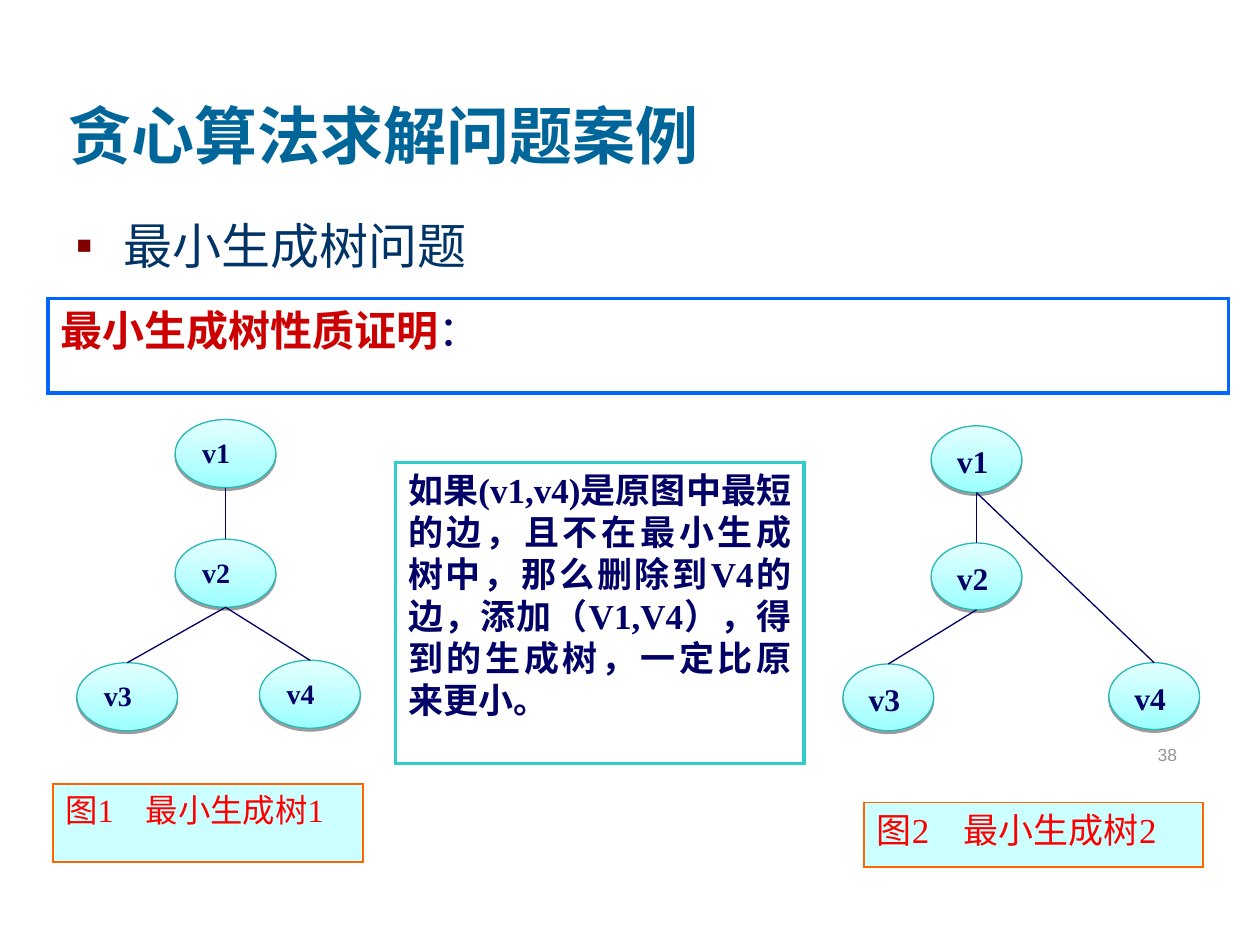
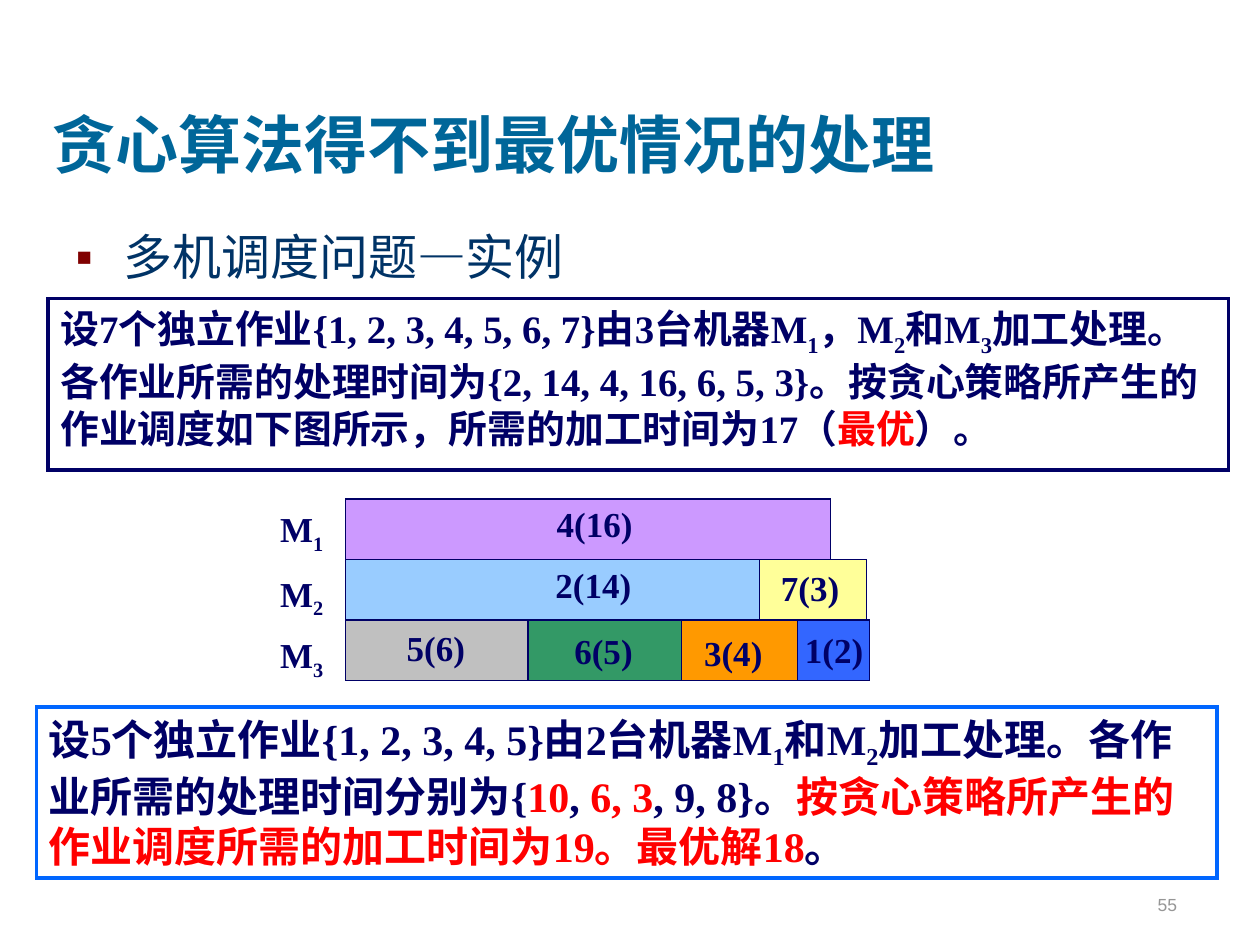
"""Build two slides on greedy algorithms: spanning trees and machine scheduling."""
import pptx
import pptx.util
import pptx.dml.color
import pptx.enum.shapes
import pptx.enum.text
import pptx.oxml
import pptx.oxml.ns
import lxml.etree

Inches, Pt = pptx.util.Inches, pptx.util.Pt
SHAPE = pptx.enum.shapes.MSO_SHAPE
ANCHOR = pptx.enum.text.MSO_ANCHOR
ALIGN = pptx.enum.text.PP_ALIGN
qn = pptx.oxml.ns.qn

COLORS = {
    "title": "006699", "body": "003366", "bullet": "800000", "number": "969696",
    "navy": "000066", "blue": "0066FF", "white": "FFFFFF", "red": "FF0000",
    "crimson": "CC0000", "teal": "33CCCC", "caption": "CCFFFF", "orange": "FF6600",
    "node_low": "9CFFFF", "node_high": "E4FFFF", "node_line": "28B8B8",
    "purple": "CC99FF", "sky": "99CCFF", "yellow": "FFFF99", "grey": "C0C0C0",
    "green": "339966", "amber": "FF9900", "royal": "3366FF",
}
SERIF = "Times New Roman"

SUB = {"sub": True}
RED = {"color": "red"}

TREE_EDGES = [("v1", "v2"), ("v2", "v3"), ("v2", "v4")]
TREES = [
    {"size": (0.8, 0.54), "pt": 16, "edges": TREE_EDGES,
     "nodes": {"v1": (1.39, 3.33), "v2": (1.39, 4.28), "v3": (0.61, 5.26), "v4": (2.06, 5.24)}},
    {"size": (0.72, 0.53), "pt": 18, "edges": TREE_EDGES[:2] + [("v1", "v4")],
     "nodes": {"v1": (7.39, 3.38), "v2": (7.39, 4.31), "v3": (6.69, 5.27), "v4": (8.8, 5.26)}},
]
CAPTIONS = [
    ("图1\t最小生成树1", (0.42, 6.22, 2.46, 0.62), 18.5, 0.64),
    ("图2\t最小生成树2", (6.86, 6.37, 2.69, 0.51), 20, 0.69),
]
PROOF = [("最小生成树性质证明", {"color": "crimson"}), ("：", {"bold": False})]
EXCHANGE = [("如果(v1,v4)是原图中最短的边，且不在最小生成树中，那么删除到V4的边，"
             "添加（V1,V4），得到的生成树，一定比原来更小。", {})]

SEVEN_JOBS = [
    ("设7个独立作业{1, 2, 3, 4, 5, 6, 7}由3台机器M", {}), ("1", SUB), ("，M", {}), ("2", SUB),
    ("和M", {}), ("3", SUB),
    ("加工处理。各作业所需的处理时间为{2, 14, 4, 16, 6, 5, 3}。"
     "按贪心策略所产生的作业调度如下图所示，所需的加工时间为17（", {}),
    ("最优", RED), ("）。", {}),
]
FIVE_JOBS = [
    ("设5个独立作业{1, 2, 3, 4, 5}由2台机器M", {}), ("1", SUB), ("和M", {}), ("2", SUB),
    ("加工处理。各作业所需的处理时间分别为{", {}), ("10", RED), (", ", {}), ("6, 3", RED),
    (", 9, 8}。", {}), ("按贪心策略所产生的作业调度所需的加工时间为19。最优解18", RED), ("。", {}),
]
CHART_LEFT, CHART_TOP, BAR_H, LABEL_H = 2.74, 3.96, 0.48, 0.33
# job, fill, bar width, label centre, label offset below the bar top
MACHINES = [
    ("1", 4.03, [("4(16)", "purple", 3.85, 4.72, 0.03)]),
    ("2", 4.54, [("2(14)", "sky", 3.29, 4.71, 0.03), ("7(3)", "yellow", 0.85, 6.43, 0.06)]),
    ("3", 5.03, [("5(6)", "grey", 1.45, 3.46, 0.05), ("6(5)", "green", 1.22, 4.79, 0.08),
                 ("3(4)", "amber", 0.92, 5.82, 0.09), ("1(2)", "royal", 0.57, 6.62, 0.07)]),
]


def rgb(name):
    return pptx.dml.color.RGBColor.from_string(COLORS[name])


def inches(values):
    return [Inches(v) for v in values]


def style(r, pt, color, bold=False, font=SERIF):
    r.font.size, r.font.bold, r.font.name = Pt(pt), bold, font
    r.font.color.rgb = rgb(color)


def write(sp, runs, pt, color="navy", bold=True, align=ALIGN.LEFT, inset=True):
    tf = sp.text_frame
    tf.word_wrap, tf.vertical_anchor = True, ANCHOR.TOP
    if not inset:
        tf.margin_left = tf.margin_right = tf.margin_top = tf.margin_bottom = 0
    p = tf.paragraphs[0]
    p.alignment = align
    p._p.get_or_add_pPr().set("hangingPunct", "0")
    for text, look in runs:
        r = p.add_run()
        r.text = text
        style(r, pt, look.get("color", color), look.get("bold", bold))
        if look.get("sub"):
            r.font._element.set("baseline", "-25000")
    return p


def add_filled(s, kind, box, line, width, fill=None):
    sp = s.shapes.add_shape(kind, *inches(box))
    sp.shadow.inherit = False
    if fill:
        sp.fill.solid()
        sp.fill.fore_color.rgb = rgb(fill)
    sp.line.color.rgb, sp.line.width = rgb(line), Pt(width)
    lxml.etree.SubElement(sp.element.spPr.find(qn("a:ln")), qn("a:miter"), lim="800000")
    return sp


def add_panel(s, box, line, runs, pt, align=ALIGN.LEFT):
    write(add_filled(s, SHAPE.RECTANGLE, box, line, 2, "white"), runs, pt, align=align)


def add_label(s, box, runs):
    write(s.shapes.add_textbox(*inches(box)), runs, 20, align=ALIGN.CENTER, inset=False)


def place(sp, box, text, anchor):
    sp.left, sp.top, sp.width, sp.height = inches(box)
    tf = sp.text_frame
    tf.text = text
    tf.word_wrap, tf.vertical_anchor = True, anchor
    tf.auto_size = pptx.enum.text.MSO_AUTO_SIZE.NONE
    return tf.paragraphs[0]


def add_slide(prs, title, title_at, font, topic, topic_box, number, number_top):
    s = prs.slides.add_slide(prs.slide_layouts[1])
    p = place(s.shapes.title, (*title_at, 8.5, 1.25), title, ANCHOR.BOTTOM)
    p.alignment = ALIGN.LEFT
    style(p.runs[0], 36, "title", True, font)

    p = place(s.placeholders[1], topic_box, topic, ANCHOR.TOP)
    pPr = p._p.get_or_add_pPr()
    pPr.set("marL", str(Inches(0.38)))
    pPr.set("indent", str(-Inches(0.38)))
    clr = lxml.etree.SubElement(pPr, qn("a:buClr"))
    lxml.etree.SubElement(clr, qn("a:srgbClr"), val=COLORS["bullet"])
    lxml.etree.SubElement(pPr, qn("a:buFont"), typeface="Arial")
    lxml.etree.SubElement(pPr, qn("a:buChar"), char="▪")
    p.space_before = Pt(0)
    style(p.runs[0], 28, "body")

    number_box = (7.36, number_top, 2.08, 0.5)
    p = place(s.shapes.add_textbox(*inches(number_box)), number_box, number, ANCHOR.BOTTOM)
    p.alignment = ALIGN.RIGHT
    style(p.runs[0], 10, "number", font="Arial")
    return s


def add_node(s, box, name, pt):
    sp = add_filled(s, SHAPE.OVAL, box, "node_line", 0.75)
    sp.fill.gradient()
    sp.fill.gradient_angle = 90
    for stop, color in zip(sp.fill.gradient_stops, ("node_low", "node_high")):
        stop.color.rgb = rgb(color)
    effects = sp.element.spPr.find(qn("a:effectLst"))
    shadow = lxml.etree.SubElement(effects, qn("a:outerShdw"), blurRad="0", dist=str(Pt(1.6)),
                                   dir="5400000", rotWithShape="0")
    black = lxml.etree.SubElement(shadow, qn("a:srgbClr"), val="000000")
    lxml.etree.SubElement(black, qn("a:alpha"), val="38000")
    write(sp, [(name, {})], pt)


def add_tree(s, tree):
    w, h = tree["size"]
    nodes = tree["nodes"]
    for name, at in nodes.items():
        add_node(s, (*at, w, h), name, tree["pt"])
    for parent, child in tree["edges"]:
        (x1, y1), (x2, y2) = nodes[parent], nodes[child]
        ends = inches((x1 + w / 2, y1 + h, x2 + w / 2, y2))
        cn = s.shapes.add_connector(pptx.enum.shapes.MSO_CONNECTOR.STRAIGHT, *ends)
        cn.line.color.rgb, cn.line.width = rgb("navy"), Pt(0.75)
        lxml.etree.SubElement(cn.element.spPr, qn("a:effectLst"))


def add_caption(s, text, box, pt, tab):
    sp = add_filled(s, SHAPE.RECTANGLE, box, "orange", 1, "caption")
    p = write(sp, [(text, {})], pt, "red", bold=False)
    tabs = lxml.etree.SubElement(p._p.get_or_add_pPr(), qn("a:tabLst"))
    lxml.etree.SubElement(tabs, qn("a:tab"), pos=str(Inches(tab)), algn="l")


def add_schedule(s):
    for row, (machine, name_top, jobs) in enumerate(MACHINES):
        left, top = CHART_LEFT, CHART_TOP + row * BAR_H
        for job, fill, width, centre, drop in jobs:
            add_filled(s, SHAPE.RECTANGLE, (left, top, width, BAR_H), "navy", 0.75, fill)
            add_label(s, (centre - 0.4, top + drop, 0.8, LABEL_H), [(job, {})])
            left += width
        add_label(s, (2.11, name_top, 0.57, 0.38), [("M", {}), (machine, SUB)])


def main():
    prs = pptx.Presentation()
    prs.slide_width, prs.slide_height = Inches(10), Inches(7.5)

    s = add_slide(prs, "贪心算法求解问题案例", (0.44, 0.17), SERIF,
                  "最小生成树问题", (0.5, 1.66, 8.94, 1.54), "38", 5.62)
    add_panel(s, (0.38, 2.37, 9.37, 0.75), "blue", PROOF, 24)
    for tree in TREES:
        add_tree(s, tree)
    add_panel(s, (3.14, 3.67, 3.24, 2.39), "teal", EXCHANGE, 20, ALIGN.JUSTIFY)
    for caption in CAPTIONS:
        add_caption(s, *caption)

    s = add_slide(prs, "贪心算法得不到最优情况的处理", (0.32, 0.24), "Vollkorn",
                  "多机调度问题—实例", (0.5, 1.75, 8.94, 4.88), "55", 6.81)
    add_panel(s, (0.38, 2.37, 9.37, 1.36), "navy", SEVEN_JOBS, 22.2)
    add_schedule(s)
    add_panel(s, (0.29, 5.61, 9.37, 1.36), "blue", FIVE_JOBS, 24)

    prs.save("out.pptx")


if __name__ == "__main__":
    main()
